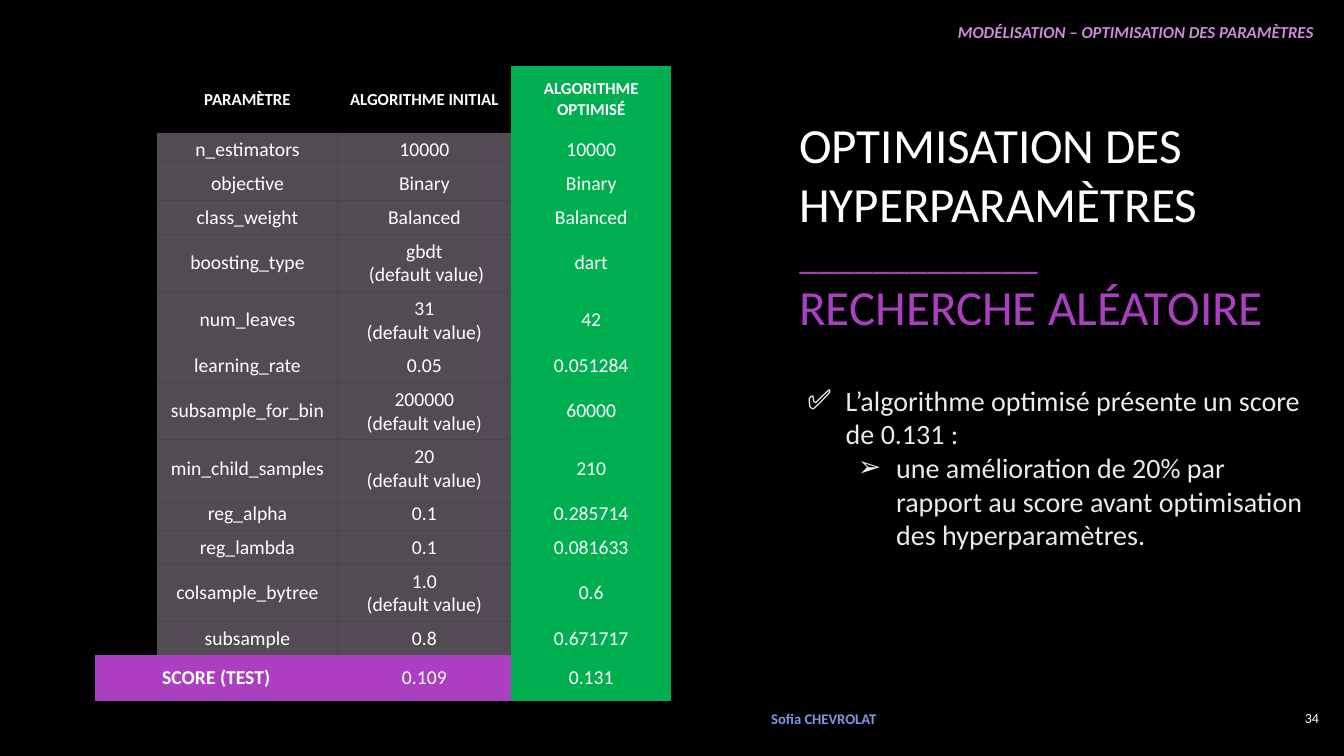
from lxml.etree import SubElement
from pptx import Presentation
from pptx.dml.color import RGBColor
from pptx.enum.text import MSO_ANCHOR, PP_ALIGN
from pptx.oxml.ns import qn
from pptx.util import Inches, Pt

WIDTH, HEIGHT = Inches(13.33), Inches(7.5)
FONT = "Calibri"
WHITE, GREEN, PURPLE, LILAC = "FFFFFF", "00B050", "AC3EC1", "EED8F3"
NO_GRID_STYLE = "{2D5ABB26-0587-4C30-8999-92F81FD0307C}"
DEFAULT = "\n(default value)"
HEADINGS = ["PARAMÈTRE", "ALGORITHME INITIAL", "ALGORITHME OPTIMISÉ"]
PARAMETERS = [
    ("n_estimators", "10000", "10000"),
    ("objective", "Binary", "Binary"),
    ("class_weight", "Balanced", "Balanced"),
    ("boosting_type", "gbdt\n (default value)", "dart"),
    ("num_leaves", "31" + DEFAULT, "42"),
    ("learning_rate", "0.05", "0.051284"),
    ("subsample_for_bin", "200000" + DEFAULT, "60000"),
    ("min_child_samples", "20" + DEFAULT, "210"),
    ("reg_alpha", "0.1", "0.285714"),
    ("reg_lambda", "0.1", "0.081633"),
    ("colsample_bytree", "1.0" + DEFAULT, "0.6"),
    ("subsample", "0.8", "0.671717"),
]
COLUMN_SHARES = [4.65, 13.43, 12.9, 11.93]
HEADING_SHARE, SINGLE_SHARE, DOUBLE_SHARE, SCORE_SHARE = 8.93, 4.47, 7.56, 6


def across(percent):
    """Return a share of the slide's width."""
    return int(WIDTH * percent / 100)


def down(percent):
    """Return a share of the slide's height."""
    return int(HEIGHT * percent / 100)


def color(hex_code):
    """Turn a hex string into a colour."""
    return RGBColor.from_string(hex_code)


def write(paragraph, wording, size, ink, bold=False, italic=False):
    """Add one styled run to a paragraph."""
    run = paragraph.add_run()
    run.text = wording
    run.font.name = FONT
    run.font.size = Pt(size)
    run.font.color.rgb = color(ink)
    run.font.bold = bold
    run.font.italic = italic


def next_paragraph(frame, index):
    """Return the first paragraph of a frame, or a new one."""
    return frame.add_paragraph() if index else frame.paragraphs[0]


def add_frame(slide, left, top, width, height, anchor=MSO_ANCHOR.MIDDLE):
    """Add a wrapping text box placed by shares of the slide."""
    box = slide.shapes.add_textbox(across(left), down(top), across(width), down(height))
    frame = box.text_frame
    frame.word_wrap = True
    frame.vertical_anchor = anchor
    return frame


def add_label(frame, wording, size, ink, align=PP_ALIGN.LEFT, **style):
    """Fill a frame with a single aligned line."""
    label = frame.paragraphs[0]
    label.alignment = align
    write(label, wording, size, ink, **style)


def add_title(slide):
    """Add the title, its rule and the subtitle."""
    frame = add_frame(slide, 58.74, 12, 39.83, 35.6)
    lines = [("OPTIMISATION DES HYPERPARAMÈTRES", 35.1, WHITE),
             ("_____________", 26.3, PURPLE),
             ("RECHERCHE ALÉATOIRE", 35.1, PURPLE)]
    for index, line in enumerate(lines):
        write(next_paragraph(frame, index), *line)


def add_findings(slide):
    """Add the two-level list of findings."""
    frame = add_frame(slide, 59.34, 47.6, 38.63, 28.4)
    findings = [
        ("✅", 0.38, "L’algorithme optimisé présente un score de 0.131 :"),
        ("➢", 0.88, "une amélioration de 20% par rapport au score avant "
                    "optimisation des hyperparamètres."),
    ]
    for level, (mark, indent, wording) in enumerate(findings):
        finding = next_paragraph(frame, level)
        finding.level = level
        properties = finding._p.get_or_add_pPr()
        properties.set("marL", str(Inches(indent)))
        properties.set("indent", str(Inches(-0.38)))
        SubElement(properties, qn("a:buFont")).set("typeface", FONT)
        SubElement(properties, qn("a:buChar")).set("char", mark)
        write(finding, wording, 20, "EBEBEB")


def paint(cell, hex_code, opacity=100):
    """Fill a cell, partly transparent if asked."""
    cell.fill.solid()
    cell.fill.fore_color.rgb = color(hex_code)
    if opacity < 100:
        tint = cell._tc.tcPr.find(".//" + qn("a:srgbClr"))
        SubElement(tint, qn("a:alpha")).set("val", str(opacity * 1000))


def fill_cell(cell, wording, size, bold=False):
    """Write centred lines in a cell."""
    cell.vertical_anchor = MSO_ANCHOR.MIDDLE
    for index, line in enumerate(wording.split("\n")):
        paragraph = next_paragraph(cell.text_frame, index)
        paragraph.alignment = PP_ALIGN.CENTER
        write(paragraph, line, size, WHITE, bold)


def add_comparison(slide):
    """Add the table comparing initial and optimised parameters."""
    row_shares = [HEADING_SHARE]
    row_shares += [DOUBLE_SHARE if "\n" in initial else SINGLE_SHARE
                   for _, initial, _ in PARAMETERS]
    row_shares.append(SCORE_SHARE)
    table = slide.shapes.add_table(
        len(row_shares), len(COLUMN_SHARES), across(7.05), down(8.67),
        across(sum(COLUMN_SHARES)), down(sum(row_shares))).table
    table.first_row = table.horz_banding = False
    table._tbl.tblPr.find(qn("a:tableStyleId")).text = NO_GRID_STYLE
    for column, share in zip(table.columns, COLUMN_SHARES):
        column.width = across(share)
    for row, share in zip(table.rows, row_shares):
        row.height = down(share)

    score_row = len(row_shares) - 1
    for row, values in enumerate([HEADINGS, *PARAMETERS]):
        margin_cell = table.cell(row, 0)
        margin_cell.fill.background()
        margin_cell.margin_top = margin_cell.margin_bottom = 0
        for column, value in enumerate(values, 1):
            cell = table.cell(row, column)
            fill_cell(cell, value, 14 if row else 12, bold=row == 0)
            if column == 3:
                paint(cell, GREEN)
            elif row:
                paint(cell, LILAC, 35)
            else:
                cell.fill.background()

    table.cell(score_row, 0).merge(table.cell(score_row, 1))
    scores = [(0, "SCORE (TEST)", PURPLE), (2, "0.109", PURPLE), (3, "0.131", GREEN)]
    for column, value, shade in scores:
        cell = table.cell(score_row, column)
        fill_cell(cell, value, 14, bold=column == 0)
        paint(cell, shade)


def main():
    """Build and save the slide."""
    deck = Presentation()
    deck.slide_width, deck.slide_height = WIDTH, HEIGHT
    slide = deck.slides.add_slide(deck.slide_layouts[6])
    slide.background.fill.solid()
    slide.background.fill.fore_color.rgb = color("000000")
    add_label(add_frame(slide, 94.37, 92.27, 4.5, 5.47), "34", 10, WHITE, PP_ALIGN.RIGHT)
    add_label(add_frame(slide, 56.64, 92.27, 13.2, 5.47),
              "Sofia CHEVROLAT", 10.5, "8394E4", bold=True)
    add_title(slide)
    add_label(add_frame(slide, 57.54, 2.27, 40.96, 4, MSO_ANCHOR.TOP),
              "MODÉLISATION – OPTIMISATION DES PARAMÈTRES", 12, "CD8BDA",
              PP_ALIGN.RIGHT, bold=True, italic=True)
    add_comparison(slide)
    add_findings(slide)
    deck.save("out.pptx")


if __name__ == "__main__":
    main()
